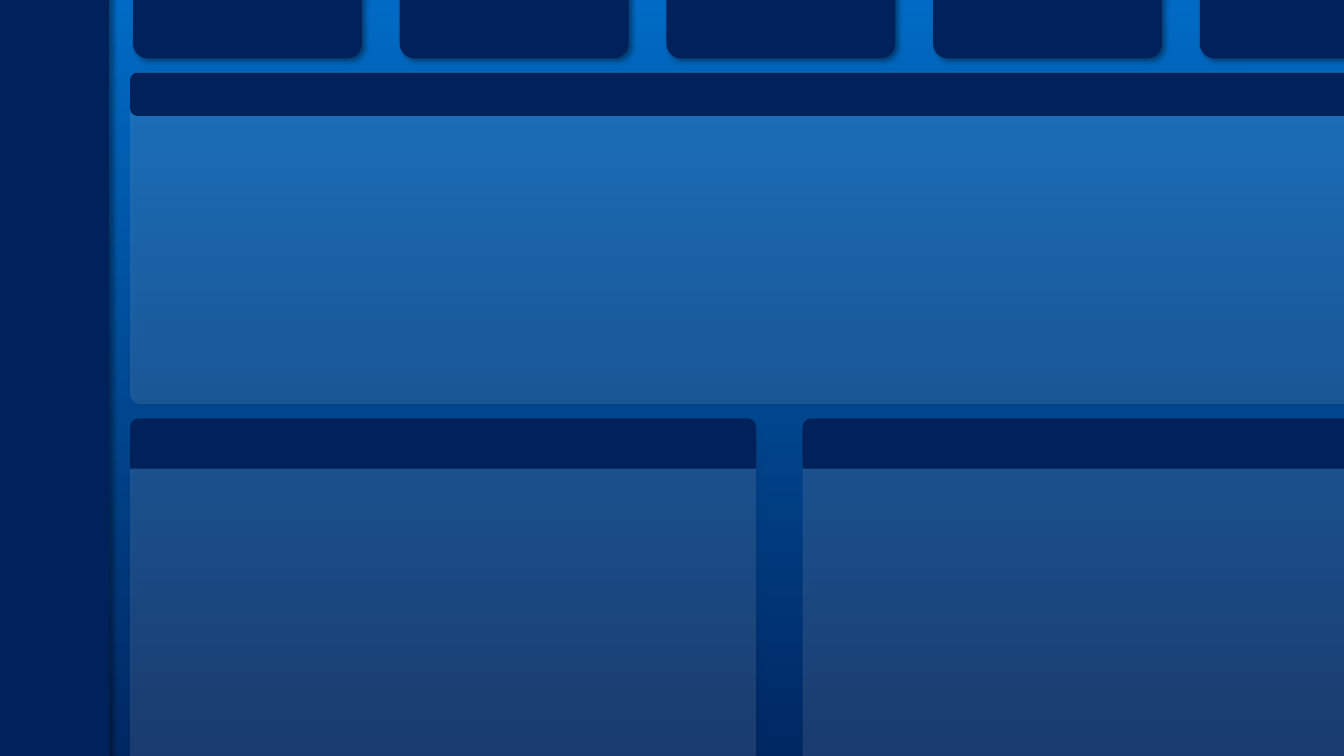
from dataclasses import dataclass
from typing import Optional

from lxml.etree import SubElement
from pptx import Presentation
from pptx.dml.color import RGBColor
from pptx.enum.shapes import MSO_SHAPE
from pptx.oxml.ns import qn
from pptx.shapes.autoshape import Shape
from pptx.util import Inches, Pt

COLORS = {"navy": "002159", "blue": "0070CC", "white": "FFFFFF", "shadow": "000000"}
BLANK_LAYOUT = 6

TILE_COUNT = 5
FIRST_TILE_LEFT, LAST_TILE_LEFT = 1.32, 11.9
TILE_PITCH = (LAST_TILE_LEFT - FIRST_TILE_LEFT) / (TILE_COUNT - 1)

CONTENT_LEFT = 1.29
LOWER_TOP, LOWER_WIDTH = 4.15, 6.21
LOWER_LEFTS = (CONTENT_LEFT, 7.96)


@dataclass(frozen=True)
class Box:
    left: float
    top: float
    width: float
    height: float
    rounding: float
    color: str = "navy"
    opacity: Optional[int] = None
    shadow: bool = False


SIDEBAR = Box(-0.92, -0.43, 2, 8.3, 0.047, shadow=True)
TILES = [
    Box(FIRST_TILE_LEFT + index * TILE_PITCH, -0.44, 2.27, 1.02, 0.144, shadow=True)
    for index in range(TILE_COUNT)
]
WIDE_PANEL = [
    Box(CONTENT_LEFT, 0.71, 12.87, 3.3, 0.032, "white", 10, True),
    Box(CONTENT_LEFT, 0.72, 12.87, 0.43, 0.172),
]


def lower_panel(left: float) -> list[Box]:
    """Body, rounded header, and a square strip that flattens the header's foot."""
    return [
        Box(left, LOWER_TOP, LOWER_WIDTH, 3.72, 0.032, "white", 10, True),
        Box(left, LOWER_TOP, LOWER_WIDTH, 0.49, 0.172),
        Box(left, LOWER_TOP + 0.11, LOWER_WIDTH, 0.39, 0),
    ]


def rgb(name: str) -> RGBColor:
    return RGBColor.from_string(COLORS[name])


def set_opacity(color_element, percent: int) -> None:
    SubElement(color_element, qn("a:alpha"), val=str(percent * 1000))


def add_outer_shadow(shape: Shape) -> None:
    effects = shape._element.spPr.find(qn("a:effectLst"))
    outer = SubElement(
        effects, qn("a:outerShdw"), blurRad=str(Pt(4)), dist=str(Pt(3)),
        dir=str(45 * 60000), algn="tl", rotWithShape="0",
    )
    color = SubElement(outer, qn("a:srgbClr"), val=COLORS["shadow"])
    set_opacity(color, 40)


def add_box(shapes, box: Box) -> None:
    shape = shapes.add_shape(
        MSO_SHAPE.ROUNDED_RECTANGLE,
        Inches(box.left), Inches(box.top), Inches(box.width), Inches(box.height),
    )
    shape.adjustments[0] = box.rounding
    shape.fill.solid()
    shape.fill.fore_color.rgb = rgb(box.color)
    shape.line.fill.background()
    shape.shadow.inherit = False
    if box.opacity is not None:
        color = shape._element.spPr.find(qn("a:solidFill")).find(qn("a:srgbClr"))
        set_opacity(color, box.opacity)
    if box.shadow:
        add_outer_shadow(shape)


def add_backdrop(shapes) -> None:
    backdrop = shapes.add_shape(
        MSO_SHAPE.RECTANGLE, Inches(-1.1), Inches(-0.71), Inches(15.5), Inches(8.92)
    )
    backdrop.shadow.inherit = False
    backdrop.line.fill.background()
    backdrop.fill.gradient()
    backdrop.fill.gradient_angle = 270
    stops = ((0.01, "blue"), (1, "navy"))
    for stop, (position, color) in zip(backdrop.fill.gradient_stops, stops):
        stop.position = position
        stop.color.rgb = rgb(color)


def main() -> None:
    presentation = Presentation()
    presentation.slide_width = Inches(13.33)
    presentation.slide_height = Inches(7.5)
    slide = presentation.slides.add_slide(presentation.slide_layouts[BLANK_LAYOUT])

    add_backdrop(slide.shapes)
    for box in [SIDEBAR, *TILES, *WIDE_PANEL]:
        add_box(slide.shapes, box)
    for left in LOWER_LEFTS:
        group = slide.shapes.add_group_shape()
        for box in lower_panel(left):
            add_box(group.shapes, box)

    presentation.save("out.pptx")


if __name__ == "__main__":
    main()
